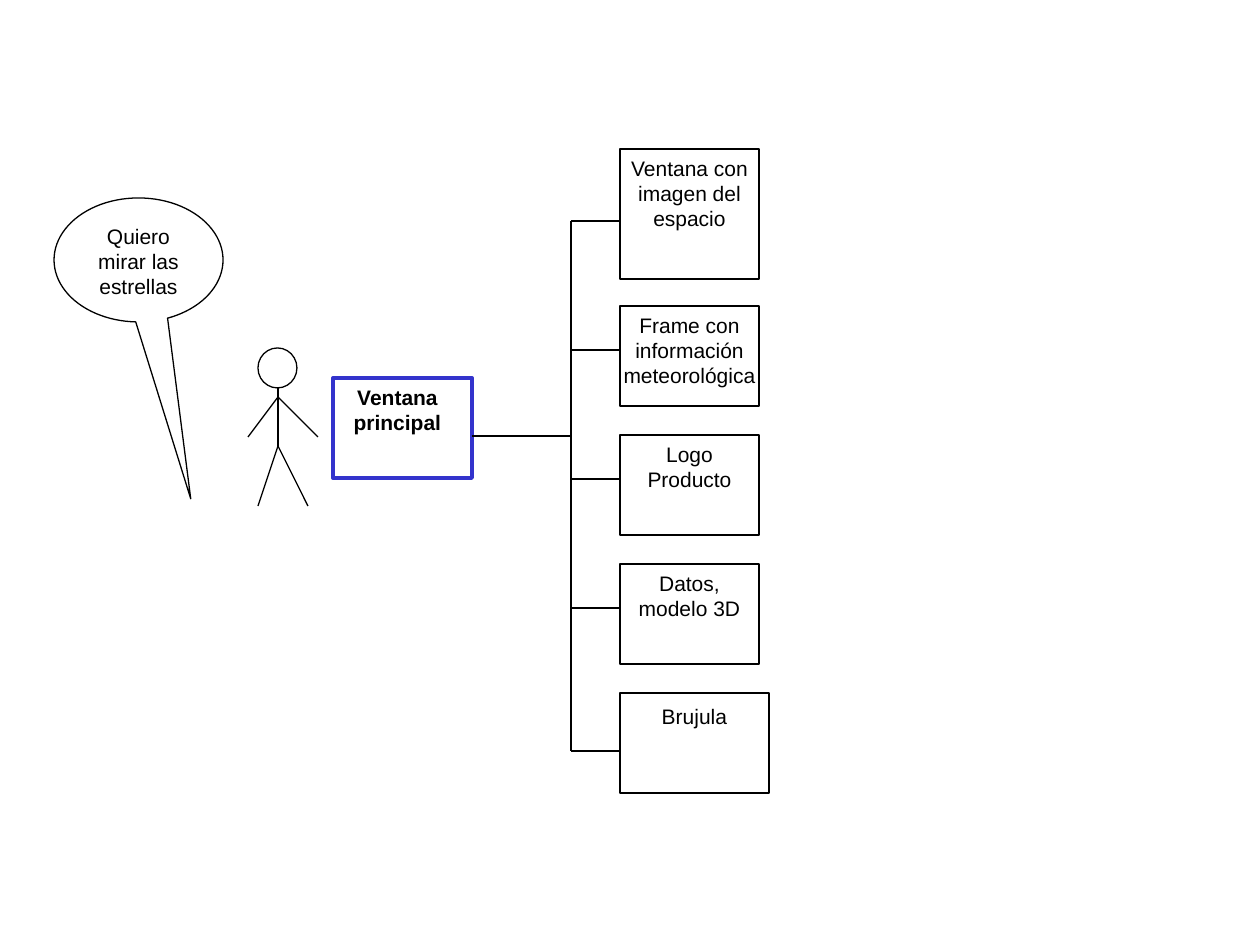
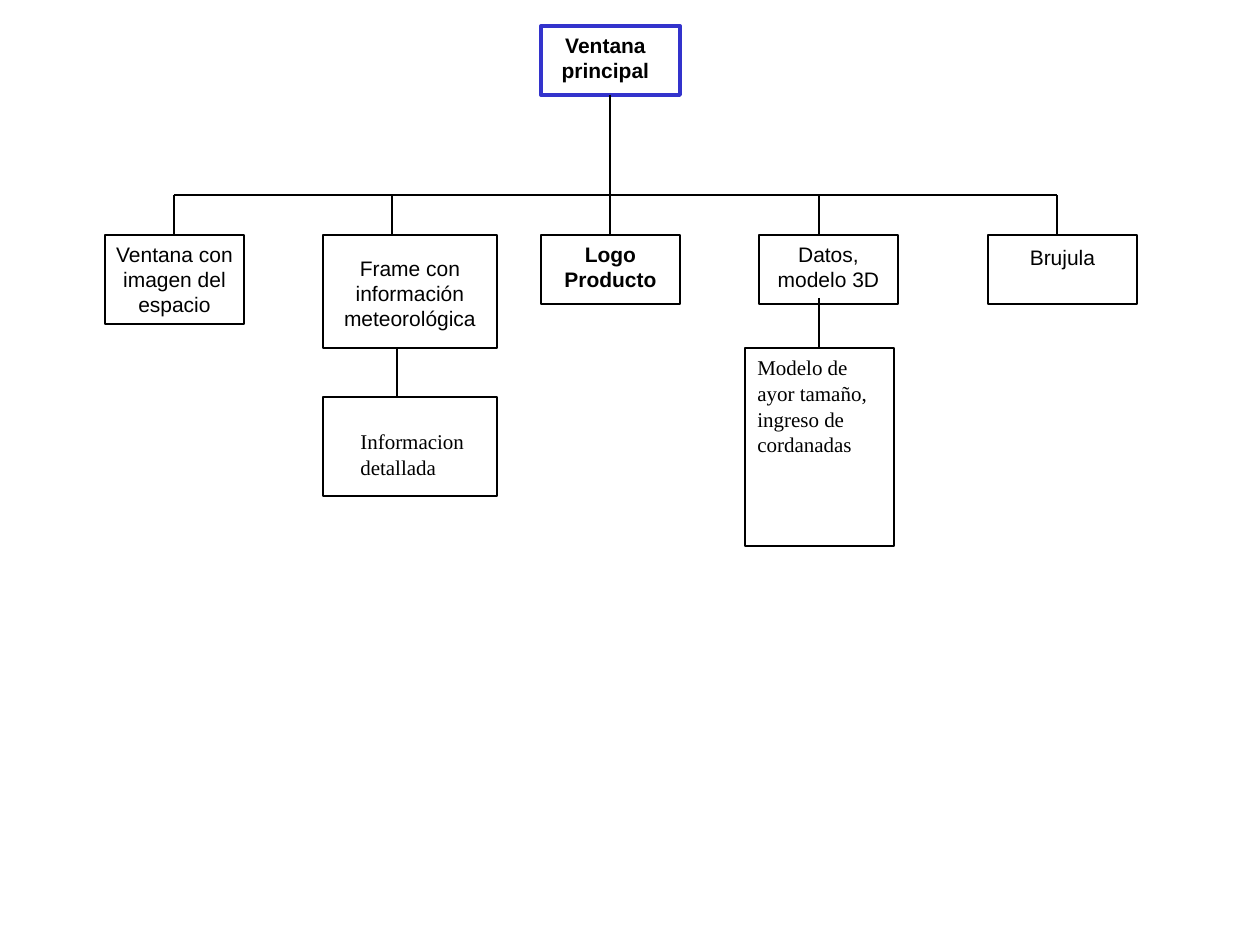
from lxml import etree
from pptx import Presentation
from pptx.dml.color import RGBColor
from pptx.enum.shapes import MSO_CONNECTOR, MSO_SHAPE
from pptx.enum.text import MSO_ANCHOR, MSO_AUTO_SIZE, PP_ALIGN
from pptx.oxml.ns import qn
from pptx.util import Emu, Pt

BLACK = RGBColor(0x00, 0x00, 0x00)
WHITE = RGBColor(0xFF, 0xFF, 0xFF)
BLUE = RGBColor(0x33, 0x33, 0xCC)
SANS, SERIF = "Arial", "Times New Roman"
EMU_PER_PX = 914400 / 126
THIN, THICK = 0.75, 2.25

MAIN = "Ventana principal"
SPACE = "Ventana con imagen del espacio"
WEATHER = "Frame con información meteorológica"
LOGO = "Logo Producto"
DATA = "Datos, modelo 3D"
COMPASS = "Brujula"
BOX_W = 139
COMPASS_W = 149
LABEL_W = 159
COMPASS_LABEL_W = 188


def px(*lengths):
    return [Emu(round(length * EMU_PER_PX)) for length in lengths]


def outline(shapes, kind, left, top, width, height, color=BLACK, weight=THIN, fill=None):
    shape = shapes.add_shape(kind, *px(left, top, width, height))
    shape.shadow.inherit = False
    if fill is None:
        shape.fill.background()
    else:
        shape.fill.solid()
        shape.fill.fore_color.rgb = fill
    shape.line.color.rgb = color
    shape.line.width = Pt(weight)
    return shape


def line(shapes, x1, y1, x2, y2):
    connector = shapes.add_connector(MSO_CONNECTOR.STRAIGHT, *px(x1, y1, x2, y2))
    connector.line.color.rgb = BLACK
    connector.line.width = Pt(THIN)
    etree.SubElement(connector._element.spPr, qn("a:effectLst"))


def text_box(shapes, text, left, top, width, height, font):
    frame = shapes.add_textbox(*px(left, top, width, height)).text_frame
    frame.word_wrap = True
    frame.vertical_anchor = MSO_ANCHOR.TOP
    frame.text = text
    paragraph = frame.paragraphs[0]
    run_font = paragraph.runs[0].font
    run_font.name = font
    run_font.size = Pt(12)
    run_font.color.rgb = BLACK
    return frame, paragraph, run_font


def label(shapes, text, left, top, width, lines, bold=False):
    """Centred caption whose height follows its number of lines."""
    frame, paragraph, font = text_box(shapes, text, left, top, width, 13 + 25 * lines, SANS)
    frame.auto_size = MSO_AUTO_SIZE.SHAPE_TO_FIT_TEXT
    paragraph.alignment = PP_ALIGN.CENTER
    paragraph.space_before = Pt(7.5)
    font.bold = bold


def note(shapes, text, left, top, width, height):
    _, paragraph, _ = text_box(shapes, text, left, top, width, height, SERIF)
    paragraph.alignment = PP_ALIGN.LEFT
    paragraph.line_spacing = 1.02


def window(shapes, text, left, top, height, lines, width=BOX_W, label_w=LABEL_W,
           drop=0, bold=False):
    """Box with a caption centred across it, lowered by drop."""
    outline(shapes, MSO_SHAPE.RECTANGLE, left, top, width, height)
    label(shapes, text, left + (width - label_w) / 2, top + drop, label_w, lines, bold)


def main_window(shapes, left, top, height):
    outline(shapes, MSO_SHAPE.RECTANGLE, left, top, BOX_W, height, BLUE, THICK)
    label(shapes, MAIN, left, top, 129, 2, bold=True)


def stick_figure(shapes):
    figure = shapes.add_group_shape().shapes
    outline(figure, MSO_SHAPE.OVAL, 258, 348, 39, 40, fill=WHITE)
    neck, shoulder, hip = 387, 397, 446
    line(figure, 278, neck, 278, hip)
    for foot in (308, 258):
        line(figure, 278, hip, foot, 506)
    for hand in (318, 248):
        line(figure, 278, shoulder, hand, 437)


def side_tree_slide(shapes):
    # User and wish
    stick_figure(shapes)
    label(shapes, "Quiero mirar las estrellas", 74, 217, 129, 3)
    speech = outline(shapes, MSO_SHAPE.OVAL_CALLOUT, 54, 198, 169, 124)
    speech.adjustments[0], speech.adjustments[1] = 0.309, 1.926

    # Windows, one below the other
    main_window(shapes, 333, 378, 100)
    left, first_row, pitch = 620, 306, 129
    window(shapes, SPACE, left, 149, 130, 3)
    for row, (text, lines) in enumerate([(WEATHER, 3), (LOGO, 2), (DATA, 2)]):
        window(shapes, text, left, first_row + row * pitch, 100, lines)
    window(shapes, COMPASS, left, first_row + 3 * pitch, 100, 1,
           COMPASS_W, COMPASS_LABEL_W, drop=4)

    # Branches
    trunk, top, bottom = 571, 221, 751
    line(shapes, 472, 436, trunk, 436)
    line(shapes, trunk, top, trunk, bottom)
    for y in [top + row * pitch for row in range(4)] + [bottom]:
        line(shapes, trunk, y, left, y)


def top_tree_slide(shapes):
    # Windows, side by side
    main_window(shapes, 541, 26, 69)
    first, pitch, top = 105, 218, 235
    window(shapes, SPACE, first, top, 89, 3)
    window(shapes, WEATHER, first + pitch, top, 113, 3, 174, 174, drop=14)
    window(shapes, LOGO, first + 2 * pitch, top, 69, 2, bold=True)
    window(shapes, DATA, first + 3 * pitch, top, 69, 2)
    window(shapes, COMPASS, 988, top, 69, 1, COMPASS_W, COMPASS_LABEL_W, drop=3)

    # Branches
    branches, bar = (174, 392, 610, 819, 1057), 195
    line(shapes, 610, 95, 610, bar)
    line(shapes, branches[0], bar, branches[-1], bar)
    for x in branches:
        line(shapes, x, bar, x, top)

    # Details
    line(shapes, 397, 348, 397, 397)
    line(shapes, 819, 298, 819, 348)
    outline(shapes, MSO_SHAPE.RECTANGLE, first + pitch, 397, 174, 99)
    outline(shapes, MSO_SHAPE.RECTANGLE, 745, 348, 149, 198)
    note(shapes, "Informacion detallada", 348, 422, 149, 64)
    note(shapes, "Modelo de ayor tamaño, ingreso de cordanadas", 745, 348, 149, 217)


def main():
    deck = Presentation()
    deck.slide_width, deck.slide_height = px(1260, 945)
    blank = deck.slide_layouts[6]
    for draw in (side_tree_slide, top_tree_slide):
        draw(deck.slides.add_slide(blank).shapes)
    deck.save("out.pptx")


if __name__ == "__main__":
    main()
